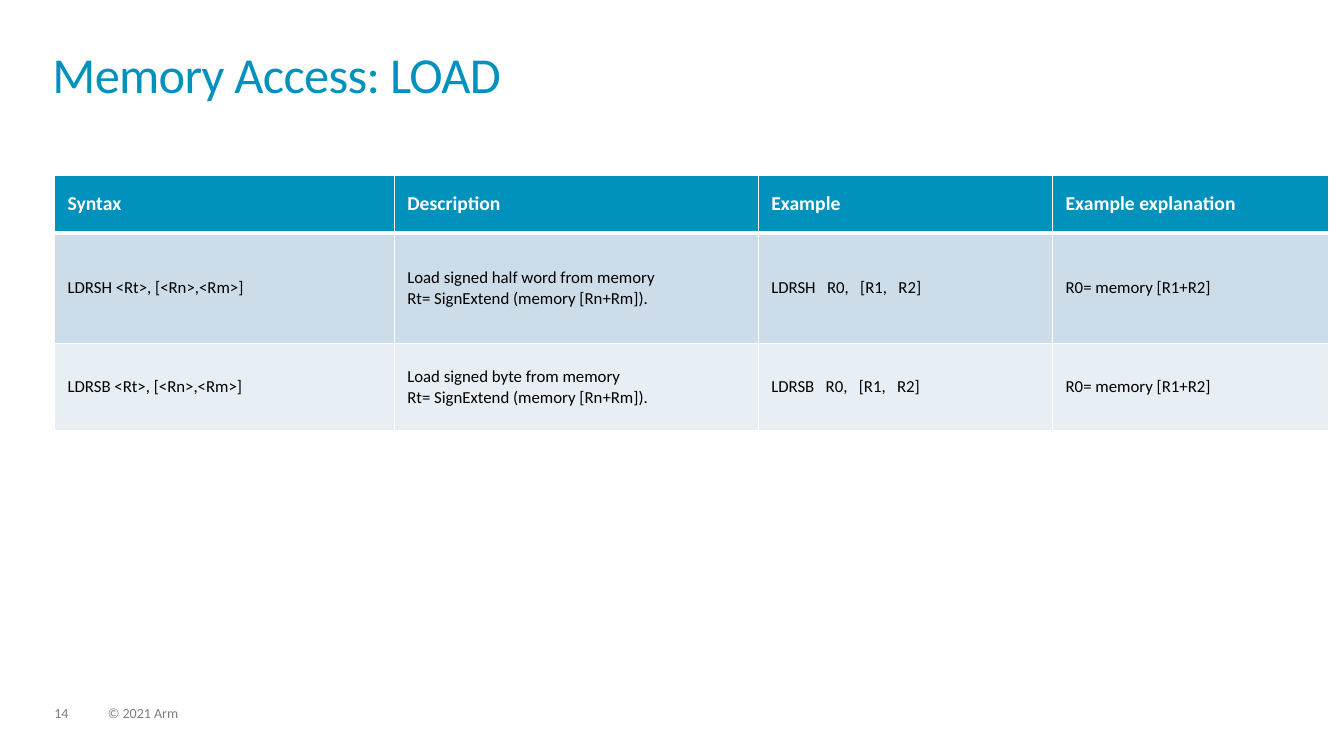
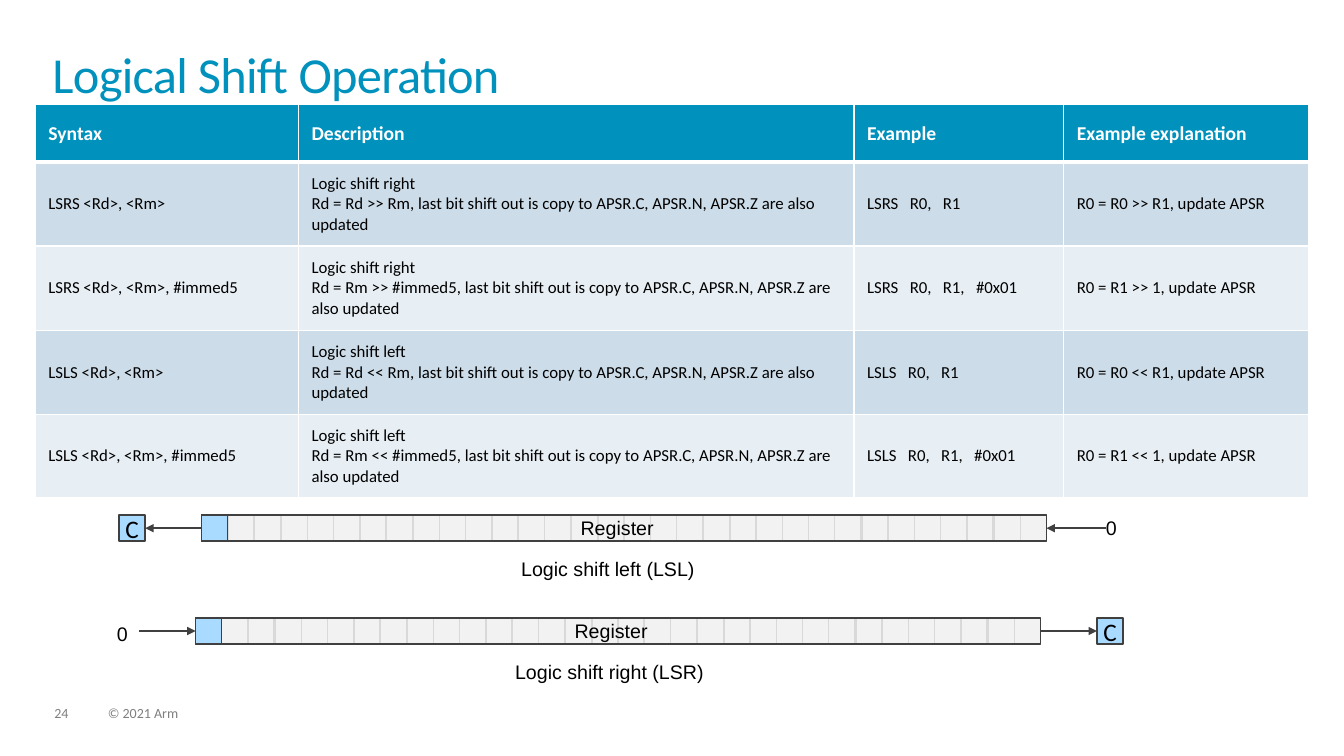
"""Build two slides on load and logical shift instructions."""
from lxml import etree
from pptx import Presentation
from pptx.dml.color import RGBColor
from pptx.enum.shapes import MSO_CONNECTOR as Connector, MSO_SHAPE as Shape
from pptx.enum.text import MSO_ANCHOR as Anchor, MSO_AUTO_SIZE as AutoSize, PP_ALIGN as Align
from pptx.oxml.ns import qn
from pptx.util import Emu, Pt

HEADINGS = ["Syntax", "Description", "Example", "Example explanation"]
SIGN_EXTEND = "Rt= SignExtend (memory [Rn+Rm])."
FLAGS = "last bit shift out is copy to APSR.C, APSR.N, APSR.Z are also updated"
SLIDES = [
    {"number": "14", "title": "Memory Access: LOAD", "at": (54, 174),
     "columns": [337, 361, 292, 274], "heights": [57, 110, 86],
     "rows": [
         ["LDRSH <Rt>, [<Rn>,<Rm>]", f"Load signed half word from memory\n{SIGN_EXTEND}",
          "LDRSH   R0,   [R1,   R2]", "R0= memory [R1+R2]"],
         ["LDRSB <Rt>, [<Rn>,<Rm>]", f"Load signed byte from memory\n{SIGN_EXTEND}",
          "LDRSB   R0,   [R1,   R2]", "R0= memory [R1+R2]"]],
     "registers": []},
    {"number": "24", "title": "Logical Shift Operation", "at": (35, 104),
     "columns": [261, 551, 208, 243], "heights": [57, 83, 84, 83, 83],
     "rows": [
         ["LSRS <Rd>, <Rm>", f"Logic shift right\nRd = Rd >> Rm, {FLAGS}",
          "LSRS   R0,   R1", "R0 = R0 >> R1, update APSR"],
         ["LSRS <Rd>, <Rm>, #immed5", f"Logic shift right\nRd = Rm >> #immed5, {FLAGS}",
          "LSRS   R0,   R1,   #0x01", "R0 = R1 >> 1, update APSR"],
         ["LSLS <Rd>, <Rm>", f"Logic shift left\nRd = Rd << Rm, {FLAGS}",
          "LSLS   R0,   R1", "R0 = R0 << R1, update APSR"],
         ["LSLS <Rd>, <Rm>, #immed5", f"Logic shift left\nRd = Rm << #immed5, {FLAGS}",
          "LSLS   R0,   R1,   #0x01", "R0 = R1 << 1, update APSR"]],
     "registers": [
         {"at": (200, 511), "caption": "Logic shift left (LSL)", "carry": 118,
          "zero": (1087, 507), "arrows": [(200, 144), (1097, 1038)]},
         {"at": (194, 613), "caption": "Logic shift right (LSR)", "carry": 1088,
          "zero": (106, 612), "arrows": [(1032, 1088), (138, 194)]}]},
]
COPYRIGHT = "© 2021 Arm"
BLUE, WHITE, BLACK = "0091BD", "FFFFFF", "000000"
BANDS = ["CCDCE8", "E7EEF4"]
BIT_FILL, BIT_LINE, CARRY_FILL, INK = "F2F2F2", "D9D9D9", "A8DBFF", "404040"
BITS, BIT, REGISTER_WIDTH = 32, 26, 838
TITLE = {"size": 36, "name": "Calibri", "color": BLUE}
FOOTER = {"size": 10, "name": "Calibri", "color": "7F7F7F"}
HEADER = {"size": 14, "name": "Calibri", "color": WHITE, "bold": True}
BODY = {"size": 12, "name": "Calibri", "color": BLACK, "bold": False}
LABEL = {"size": 14, "name": "Arial", "color": BLACK}
CARRY = {"size": 18, "name": "Calibri", "color": BLACK}


def px(*lengths):
    return [Emu(length * 9144) for length in lengths]


def color(value):
    return RGBColor.from_string(value)


def style(font, formats):
    for key, value in formats.items():
        if key == "color":
            font.color.rgb = color(value)
        else:
            setattr(font, key, Pt(value) if key == "size" else value)


def write(frame, text, formats, **layout):
    frame.text = text
    for para in frame.paragraphs:
        for key, value in layout.items():
            setattr(para, key, value)
        for span in para.runs:
            style(span.font, formats)


def set_margins(target, horizontal, vertical):
    for side, size in zip(("left", "top", "right", "bottom"), px(horizontal, vertical) * 2):
        setattr(target, f"margin_{side}", size)


def add_text(page, at, text, formats, margins=(10, 5), grow=True, **layout):
    box = page.shapes.add_textbox(*px(*at))
    frame = box.text_frame
    frame.word_wrap = True
    frame.auto_size = AutoSize.SHAPE_TO_FIT_TEXT if grow else AutoSize.NONE
    set_margins(frame, *margins)
    write(frame, text, formats, **layout)
    return box


def add_frame(page, title, number):
    for left, width, text in ((54, 34, number), (107, 507, COPYRIGHT)):
        add_text(page, (left, 701, width, 15), text, FOOTER, (0, 0),
                 line_spacing=0.9, space_after=Pt(6))
    box = add_text(page, (52, 52, 1228, 72), title, TITLE, (0, 0), False, line_spacing=0.85)
    span = box.text_frame.paragraphs[0].runs[0]
    span.font._element.set("spc", "-50")


def add_borders(cell, widths):
    properties = cell._tc.get_or_add_tcPr()
    for side, points in widths.items():
        line = etree.SubElement(properties, qn(f"a:ln{side}"), w=str(Pt(points)))
        fill = etree.SubElement(line, qn("a:solidFill"))
        etree.SubElement(fill, qn("a:srgbClr"), val=WHITE)


def add_instructions(page, at, columns, heights, rows):
    contents = [HEADINGS, *rows]
    size = (sum(columns), sum(heights))
    table = page.shapes.add_table(len(contents), len(columns), *px(*at, *size)).table
    table.first_row = table.horz_banding = False
    for column, width in zip(table.columns, px(*columns)):
        column.width = width
    for index, (row, height, texts) in enumerate(zip(table.rows, px(*heights), contents)):
        row.height = height
        for cell, text in zip(row.cells, texts):
            add_borders(cell, {"L": 1, "R": 1, "T": 3 if index == 1 else 1,
                               "B": 3 if index == 0 else 1})
            cell.fill.solid()
            cell.fill.fore_color.rgb = color(BANDS[(index - 1) % 2] if index else BLUE)
            cell.vertical_anchor = Anchor.MIDDLE
            set_margins(cell, 13, 5)
            write(cell.text_frame, text, BODY if index else HEADER)


def add_rectangle(page, at, fill, line):
    box = page.shapes.add_shape(Shape.RECTANGLE, *px(*at))
    box.shadow.inherit = False
    if fill:
        box.fill.solid()
        box.fill.fore_color.rgb = color(fill)
    else:
        box.fill.background()
    box.line.color.rgb = color(line)
    box.line.width = Pt(1)
    return box


def add_arrow(page, start, end, top):
    arrow = page.shapes.add_connector(Connector.STRAIGHT, *px(start, top, end, top))
    arrow.line.color.rgb = color(INK)
    arrow.line.width = Pt(1.5)
    etree.SubElement(arrow.line._get_or_add_ln(), qn("a:tailEnd"), type="triangle")
    etree.SubElement(arrow._element.spPr, qn("a:effectLst"))


def add_register(page, at, caption, carry, zero, arrows):
    left, top = at
    for bit in range(1, BITS):
        offset = round(bit * REGISTER_WIDTH / BITS)
        add_rectangle(page, (left + offset, top, BIT, BIT), BIT_FILL, BIT_LINE)
    add_rectangle(page, (left, top, REGISTER_WIDTH, BIT), None, INK)
    add_rectangle(page, (left, top, BIT, BIT), CARRY_FILL, INK)
    box = add_rectangle(page, (carry, top, BIT, BIT), CARRY_FILL, INK)
    box.text_frame.word_wrap = False
    box.text_frame.vertical_anchor = Anchor.MIDDLE
    write(box.text_frame, "C", CARRY, alignment=Align.CENTER)
    for start, end in arrows:
        add_arrow(page, start, end, top + BIT // 2)
    add_text(page, (left + 366, top - 4, 138, 34), "Register", LABEL)
    add_text(page, (left + 307, top + 37, 315, 34), caption, LABEL)
    add_text(page, (*zero, 48, 34), "0", LABEL)


def main():
    deck = Presentation()
    deck.slide_width, deck.slide_height = px(1333, 750)
    for content in SLIDES:
        page = deck.slides.add_slide(deck.slide_layouts[6])
        add_frame(page, content["title"], content["number"])
        add_instructions(page, content["at"], content["columns"],
                         content["heights"], content["rows"])
        for register in content["registers"]:
            add_register(page, **register)
    deck.save("out.pptx")


if __name__ == "__main__":
    main()
